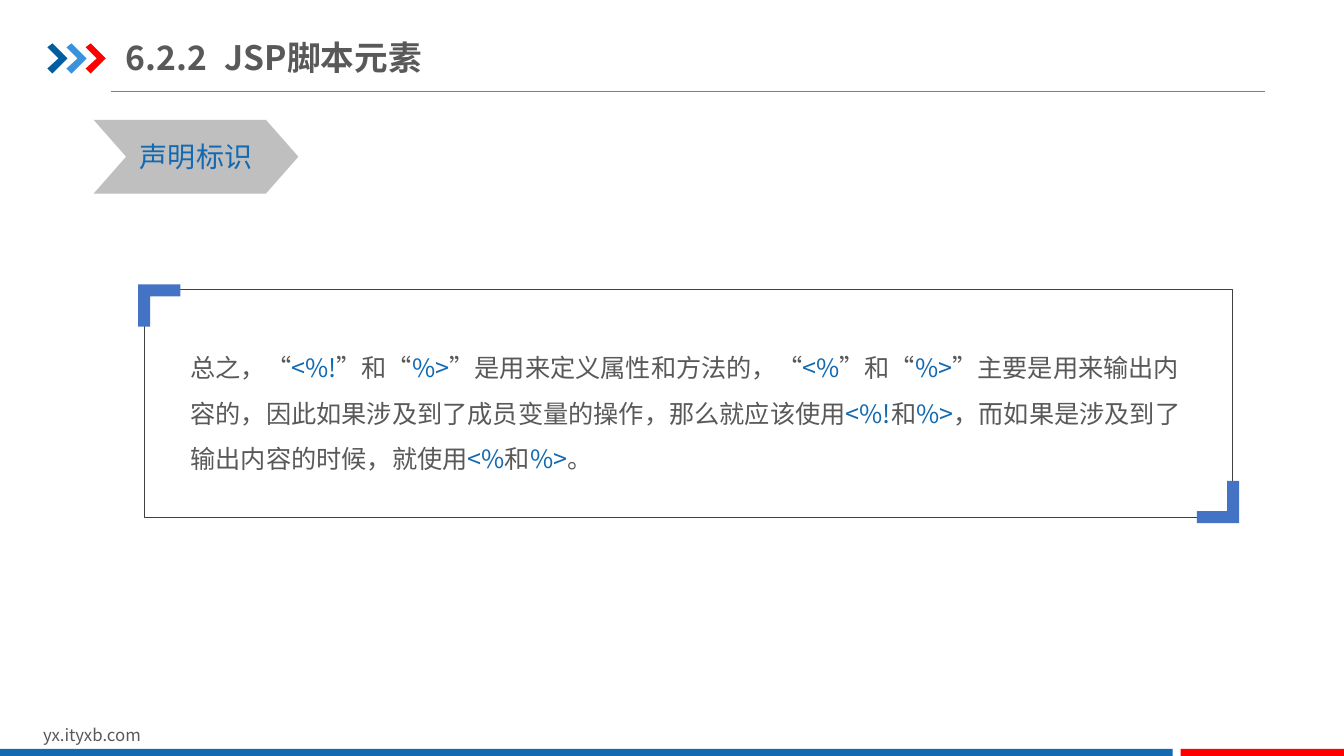
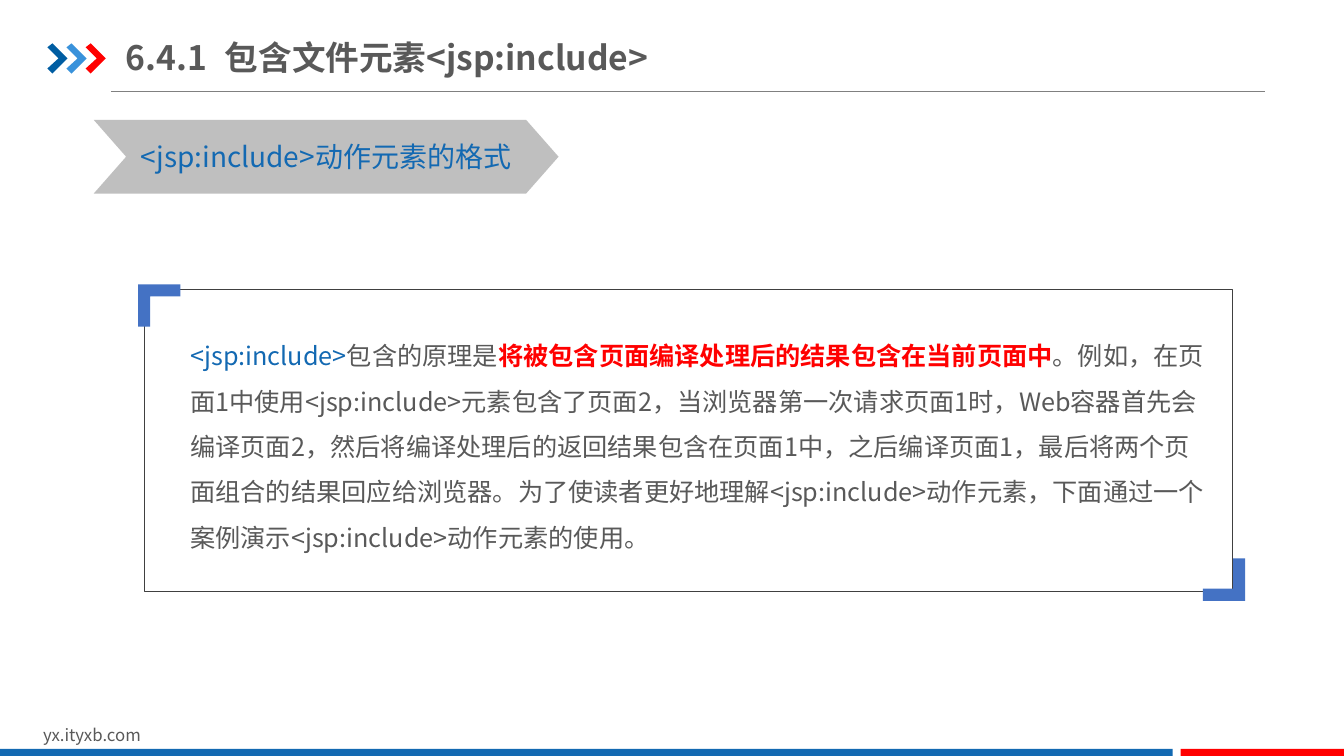
from lxml import etree
from pptx import Presentation
from pptx.dml.color import RGBColor
from pptx.enum.shapes import MSO_CONNECTOR as CONN, MSO_SHAPE as SHAPE
from pptx.enum.text import MSO_ANCHOR as ANCHOR, PP_ALIGN as ALIGN
from pptx.oxml.ns import qn
from pptx.util import Emu, Pt

PX = 9144
FONT = "Noto Sans CJK SC"

BLUE = RGBColor(0x13, 0x69, 0xB2)
NAVY = RGBColor(0x00, 0x5D, 0xA2)
SKY = RGBColor(0x39, 0x92, 0xDB)
RED = RGBColor(0xFF, 0x00, 0x00)
TEXT = RGBColor(0x59, 0x59, 0x59)
RULE = RGBColor(0x80, 0x80, 0x80)
BANNER = RGBColor(0xBF, 0xBF, 0xBF)
FRAME = RGBColor(0x40, 0x40, 0x40)
CORNER = RGBColor(0x44, 0x72, 0xC4)

TITLE = {"size": Pt(24), "bold": True}
LABEL = {"size": Pt(20)}
BODY = {"size": Pt(18)}
STRONG = {"size": Pt(18), "bold": True}
FOOTER = {"size": Pt(12)}

TITLE_TAB = 98
MARK = [(0, 4), (5, 0), (20, 15), (5, 30), (0, 25), (11, 15)]
BRACKET = [(0, 0), (42, 0), (42, 12), (12, 12), (12, 42), (0, 42)]


def px(*values):
    return [Emu(v * PX) for v in values]


def add_run(p, text, color, fmt):
    r = p.add_run()
    r.text = text
    r.font.name = FONT
    r.font.color.rgb = color
    for name, value in fmt.items():
        setattr(r.font, name, value)
    etree.SubElement(r.font._element, qn("a:ea"), typeface=FONT)


def text_box(s, box, **frame):
    tf = s.shapes.add_textbox(*px(*box)).text_frame
    tf.word_wrap = True
    for name, value in frame.items():
        setattr(tf, name, value)
    return tf.paragraphs[0]


def paint(sp, fill=None, line=None):
    sp.shadow.inherit = False
    if fill is None:
        sp.fill.background()
    else:
        sp.fill.solid()
        sp.fill.fore_color.rgb = fill
    if line is None:
        sp.line.fill.background()
    else:
        sp.line.color.rgb = line
        sp.line.width = Pt(0.25)
    return sp


def shape(s, kind, box, fill=None, line=None):
    return paint(s.shapes.add_shape(kind, *px(*box)), fill, line)


def outline(s, x, y, points, fill, sign=1):
    points = [(x + sign * dx, y + sign * dy) for dx, dy in points]
    builder = s.shapes.build_freeform(*points[0], scale=PX)
    builder.add_line_segments(points[1:], close=True)
    paint(builder.convert_to_shape(), fill)


def rule(s, x1, x2, y):
    line = s.shapes.add_connector(CONN.STRAIGHT, *px(x1, y, x2, y))
    line.line.color.rgb = RULE
    line.line.width = Pt(0.5)
    etree.SubElement(line._element.spPr, qn("a:effectLst"))


def title(s, number, text):
    margin, = px(7)
    p = text_box(s, (125, 29, 1000, 55), vertical_anchor=ANCHOR.MIDDLE,
                 margin_left=0, margin_right=0, margin_top=margin, margin_bottom=margin)
    tabs = etree.SubElement(p._p.get_or_add_pPr(), qn("a:tabLst"))
    etree.SubElement(tabs, qn("a:tab"), pos=str(TITLE_TAB * PX), algn="l")
    add_run(p, f"{number}\t{text}", TEXT, TITLE)


def base_slide(prs, number, text):
    s = prs.slides.add_slide(prs.slide_layouts[6])
    rule(s, 110, 1255, 91)
    for i, color in enumerate((NAVY, SKY, RED)):
        outline(s, 47 + 19 * i, 43, MARK, color)
    add_run(text_box(s, (33, 714, 318, 30)), "yx.ityxb.com", TEXT, FOOTER)
    shape(s, SHAPE.RECTANGLE, (0, 743, 1163, 7), BLUE)
    shape(s, SHAPE.RECTANGLE, (1171, 743, 162, 7), RED)
    title(s, number, text)
    return s


def banner(s, width, text):
    sp = shape(s, SHAPE.CHEVRON, (93, 119, width, 73), BANNER)
    sp.adjustments[0] = 0.44
    tf = sp.text_frame
    tf.word_wrap = False
    tf.vertical_anchor = ANCHOR.MIDDLE
    p = tf.paragraphs[0]
    p.alignment = ALIGN.CENTER
    add_run(p, text, BLUE, LABEL)


def framed_text(s, height, corner, box, runs):
    shape(s, SHAPE.RECTANGLE, (143, 287, 1079, height), line=FRAME)
    outline(s, 137, 282, BRACKET, CORNER)
    outline(s, *corner, BRACKET, CORNER, sign=-1)
    p = text_box(s, box)
    p.line_spacing = 1.5
    for text, color, fmt in runs:
        add_run(p, text, color, fmt)


def main():
    prs = Presentation()
    prs.slide_width, prs.slide_height = px(1333, 750)

    s = base_slide(prs, "6.2.2", "JSP脚本元素")
    banner(s, 203, "声明标识")
    parts = ["总之，“", "<%!", "”和“", "%>", "”是用来定义属性和方法的，“", "<%", "”和“", "%>",
             "”主要是用来输出内容的，因此如果涉及到了成员变量的操作，那么就应该使用",
             "<%!", "和", "%>", "，而如果是涉及到了输出内容的时候，就使用",
             "<%", "和", "%>", "。"]
    runs = [(t, BLUE if i % 2 else TEXT, BODY) for i, t in enumerate(parts)]
    framed_text(s, 226, (1229, 519), (179, 330, 1008, 158), runs)

    s = base_slide(prs, "6.4.1", "包含文件元素<jsp:include>")
    banner(s, 461, "<jsp:include>动作元素的格式")
    runs = [
        ("<jsp:include>", BLUE, BODY),
        ("包含的原理是", TEXT, BODY),
        ("将被包含页面编译处理后的结果包含在当前页面中", RED, STRONG),
        ("。例如，在页面1中使用<jsp:include>元素包含了页面2，当浏览器第一次请求页面1时，"
         "Web容器首先会编译页面2，然后将编译处理后的返回结果包含在页面1中，之后编译页面1，"
         "最后将两个页面组合的结果回应给浏览器。为了使读者更好地理解<jsp:include>动作元素，"
         "下面通过一个案例演示<jsp:include>动作元素的使用。", TEXT, BODY),
    ]
    framed_text(s, 300, (1235, 596), (179, 318, 1026, 248), runs)

    prs.save("out.pptx")


if __name__ == "__main__":
    main()
